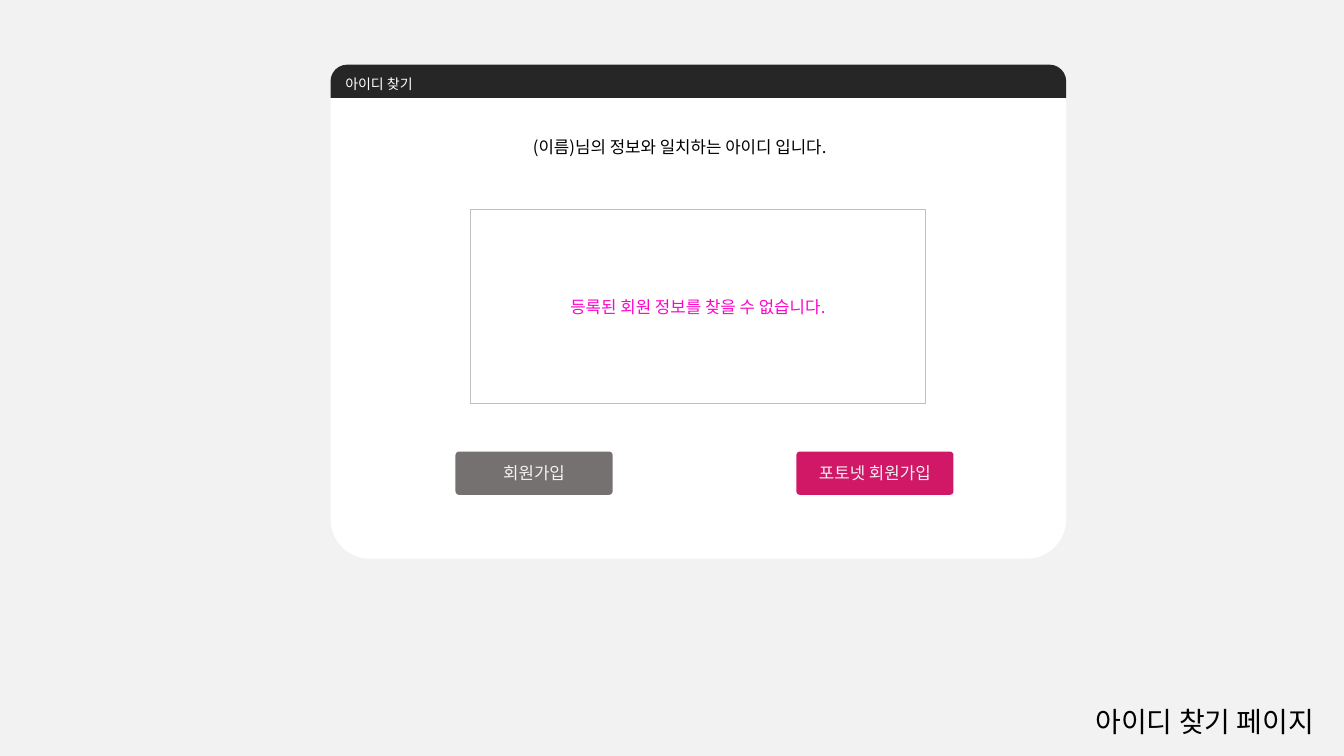
from lxml import etree
from pptx import Presentation
from pptx import util as u
from pptx.dml.color import RGBColor
from pptx.enum import shapes, text
from pptx.oxml.ns import qn


def color(value):
    """Turn a hex string into a colour."""
    return RGBColor.from_string(value)


class DialogSlide:
    """Hold the style and the slide, and add each kind of element."""

    font = "Noto Sans CJK KR"

    def __init__(self, presentation, background):
        """Add a title-only slide with a plain background."""
        self.slide = presentation.slides.add_slide(presentation.slide_layouts[5])
        self.slide.background.fill.solid()
        self.slide.background.fill.fore_color.rgb = color(background)

    def add_text(self, shape, words, size, ink, align="CENTER", anchor="MIDDLE"):
        """Put one formatted paragraph into a shape."""
        frame = shape.text_frame
        frame_format = {
            "word_wrap": True,
            "auto_size": text.MSO_AUTO_SIZE.NONE,
            "vertical_anchor": text.MSO_ANCHOR[anchor],
        }
        for name, value in frame_format.items():
            setattr(frame, name, value)
        paragraph = frame.paragraphs[0]
        paragraph.alignment = text.PP_ALIGN[align]
        paragraph.line_spacing = 1.0
        run = paragraph.add_run()
        run.text = words
        for name, value in {"size": u.Pt(size), "name": self.font}.items():
            setattr(run.font, name, value)
        run.font.color.rgb = color(ink)
        properties = run._r.get_or_add_rPr()
        etree.SubElement(properties, qn("a:ea")).set("typeface", self.font)

    def title(self, box, words, size, ink):
        """Move and fill the title placeholder."""
        title = self.slide.shapes.title
        for name, value in zip(("left", "top", "width", "height"), box):
            setattr(title, name, u.Cm(value))
        self.add_text(title, words, size, ink, anchor="TOP")

    def group(self):
        """Add an empty group."""
        return self.slide.shapes.add_group_shape()

    def shape(self, kind, box, fill=None, line=None, corners=(), parent=None):
        """Add a preset shape to the slide or to a group."""
        owner = self.slide if parent is None else parent
        shape = owner.shapes.add_shape(
            shapes.MSO_SHAPE[kind], *map(u.Cm, box))
        shape.shadow.inherit = False
        for index, corner in enumerate(corners):
            shape.adjustments[index] = corner
        if fill:
            shape.fill.solid()
            shape.fill.fore_color.rgb = color(fill)
        else:
            shape.fill.background()
        if line:
            shape.line.color.rgb = color(line)
            shape.line.width = u.Pt(0.75)
        else:
            shape.line.fill.background()
        return shape

    def label(self, box, words, size, ink, parent):
        """Add a left-aligned text box to a group."""
        label = parent.shapes.add_textbox(*map(u.Cm, box))
        self.add_text(label, words, size, ink, "LEFT", "TOP")

    def button(self, left, words, fill):
        """Add a rounded button on the button row."""
        button = self.shape("ROUNDED_RECTANGLE", (left, 11.38, 3.96, 1.09),
                            fill, corners=[0.08])
        self.add_text(button, words, 12, "F2F2F2")


def main():
    """Build the ID search page."""
    presentation = Presentation()
    presentation.slide_width = u.Cm(33.87)
    presentation.slide_height = u.Cm(19.05)
    page = DialogSlide(presentation, "F2F2F2")
    page.title((26.62, 17.63, 7.49, 1.12), "아이디 찾기 페이지", 20, "000000")

    left, top, width = 8.33, 1.63, 18.54
    dialog = page.group()
    page.shape("ROUNDED_RECTANGLE", (left, top, width, 12.45), "FFFFFF",
               corners=[0.08], parent=dialog)
    header = page.shape("ROUND_2_SAME_RECTANGLE", (left, top, width, 0.84),
                        "262626", corners=[0.5, 0], parent=dialog)
    page.add_text(header, "아이디 찾기", 10, "FFFFFF", "LEFT")
    page.label((13.18, 3.33, 8.86, 0.58),
               "(이름)님의 정보와 일치하는 아이디 입니다.", 12, "000000", dialog)

    result = page.shape("RECTANGLE", (11.86, 5.28, 11.46, 4.88), line="BFBFBF")
    page.add_text(result, "등록된 회원 정보를 찾을 수 없습니다.", 12, "FE06C9")
    page.button(11.48, "회원가입", "767171")
    page.button(20.07, "포토넷 회원가입", "D01867")
    presentation.save("out.pptx")


if __name__ == "__main__":
    main()
